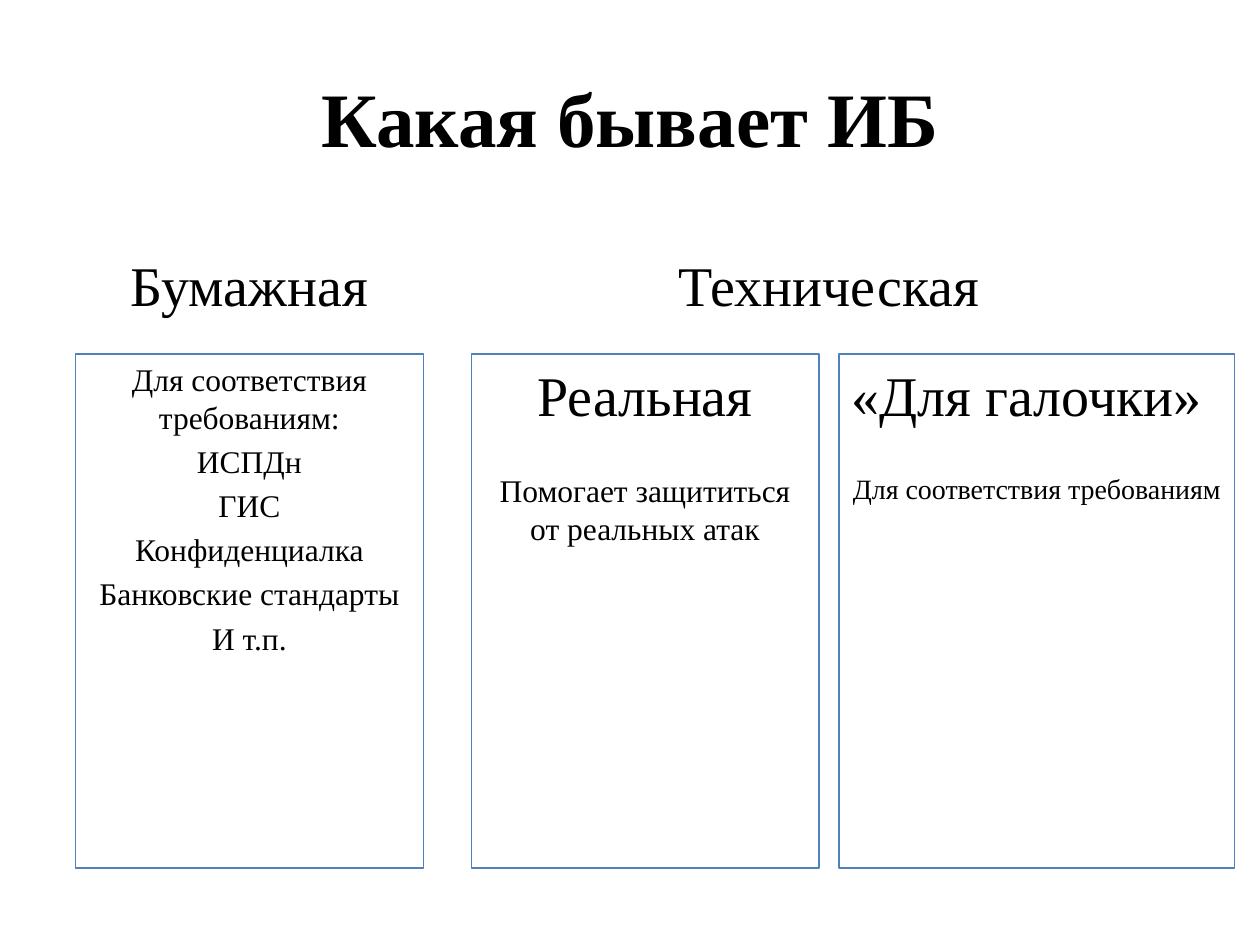
from dataclasses import dataclass

from pptx import Presentation
from pptx.dml.color import RGBColor
from pptx.enum.shapes import MSO_SHAPE
from pptx.enum.text import MSO_ANCHOR, PP_ALIGN
from pptx.util import Inches, Pt

RECTANGLE = MSO_SHAPE.RECTANGLE
TOP, MIDDLE = MSO_ANCHOR.TOP, MSO_ANCHOR.MIDDLE
LEFT, CENTER = PP_ALIGN.LEFT, PP_ALIGN.CENTER
TITLE_ONLY = 5


@dataclass(frozen=True)
class Theme:
    """Colours, font and type sizes of the slide."""
    font: str = "Times New Roman"
    text: RGBColor = RGBColor(0, 0, 0)
    border: RGBColor = RGBColor(0x4F, 0x81, 0xBD)
    title: int = 44
    heading: int = 32
    body: int = 18
    small: int = 16
    gap: int = 25


THEME = Theme()
HEADING_TOP, HEADING_HEIGHT = 1.94, 0.63
PANEL_TOP, PANEL_HEIGHT = 2.81, 4.08
PAPER_LEFT, REAL_LEFT, FORMAL_LEFT = 0.6, 3.74, 6.66
PANEL_WIDTH, FORMAL_WIDTH = 2.76, 3.14


def style_paragraph(para, text, size, align=CENTER, before=None):
    """Write a paragraph, spaced by a fifth of its size unless told otherwise."""
    para.text = text
    para.alignment = align
    para.space_before = Pt(0.2 * size if before is None else before)
    para.font.name = THEME.font
    para.font.size = Pt(size)
    para.font.color.rgb = THEME.text


def add_title(slide, text):
    """Place and format the title placeholder."""
    title = slide.shapes.title
    title.left, title.top = Inches(0.5), Inches(0.3)
    title.width, title.height = Inches(9), Inches(1.25)
    title.text_frame.vertical_anchor = MIDDLE
    para = title.text_frame.paragraphs[0]
    style_paragraph(para, text, THEME.title, before=0)
    para.font.bold = True


def add_heading(slide, left, width, text):
    """Add a heading above the panels."""
    box = slide.shapes.add_textbox(
        Inches(left), Inches(HEADING_TOP), Inches(width), Inches(HEADING_HEIGHT))
    box.text_frame.word_wrap = True
    style_paragraph(box.text_frame.paragraphs[0], text, THEME.heading)


def add_panel(slide, left, width):
    """Add an outlined panel and return its text frame."""
    panel = slide.shapes.add_shape(
        RECTANGLE, Inches(left), Inches(PANEL_TOP), Inches(width), Inches(PANEL_HEIGHT))
    panel.shadow.inherit = False
    panel.fill.background()
    panel.line.color.rgb = THEME.border
    panel.line.width = Pt(0.75)
    frame = panel.text_frame
    frame.word_wrap = True
    frame.vertical_anchor = TOP
    return frame


def add_list_panel(slide, left, width, lines):
    """Add a panel with one centred paragraph per line."""
    frame = add_panel(slide, left, width)
    for index, line in enumerate(lines):
        para = frame.add_paragraph() if index else frame.paragraphs[0]
        style_paragraph(para, line, THEME.body)


def add_kind_panel(slide, left, width, heading, note, note_size, align=CENTER):
    """Add a panel with a large heading and a note set apart below it."""
    frame = add_panel(slide, left, width)
    style_paragraph(frame.paragraphs[0], heading, THEME.heading, align)
    style_paragraph(frame.add_paragraph(), note, note_size, before=THEME.gap)


def main():
    """Build the slide and save the deck."""
    deck = Presentation()
    deck.slide_width, deck.slide_height = Inches(10), Inches(7.5)
    slide = deck.slides.add_slide(deck.slide_layouts[TITLE_ONLY])
    add_title(slide, "Какая бывает ИБ")
    add_kind_panel(slide, REAL_LEFT, PANEL_WIDTH, "Реальная",
                   "Помогает защититься от реальных атак", THEME.body)
    add_kind_panel(slide, FORMAL_LEFT, FORMAL_WIDTH, "«Для галочки»",
                   "Для соответствия требованиям", THEME.small, LEFT)
    add_list_panel(slide, PAPER_LEFT, PANEL_WIDTH, [
        "Для соответствия требованиям:", "ИСПДн", "ГИС",
        "Конфиденциалка", "Банковские стандарты", "И т.п."])
    add_heading(slide, 3.67, 5.82, "Техническая")
    add_heading(slide, PAPER_LEFT, PANEL_WIDTH, "Бумажная")
    deck.save("out.pptx")


if __name__ == "__main__":
    main()
